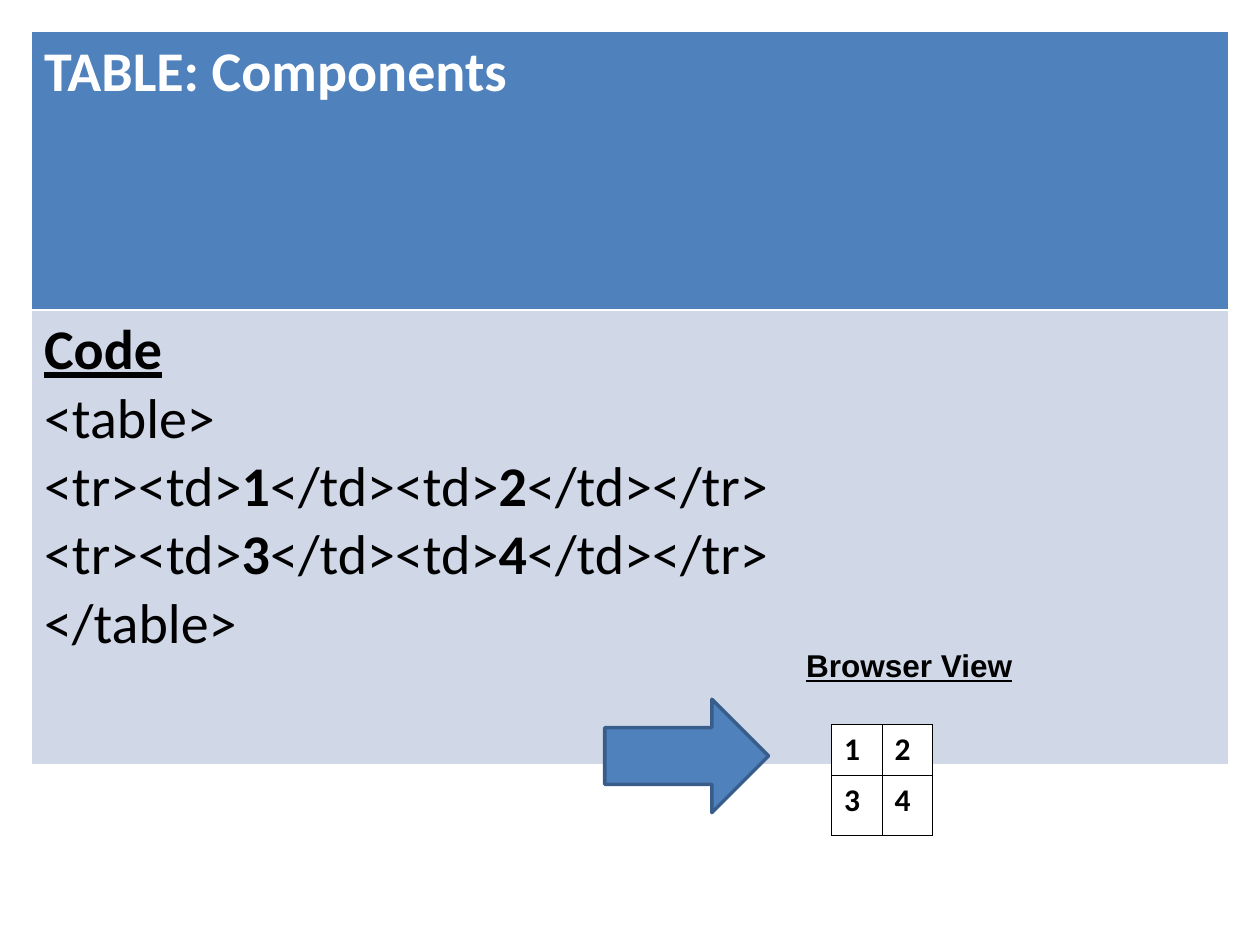
from dataclasses import dataclass

from lxml.etree import SubElement
from pptx import Presentation
from pptx.dml.color import RGBColor
from pptx.enum.shapes import MSO_SHAPE as Shape
from pptx.enum.text import MSO_AUTO_SIZE as AutoSize
from pptx.oxml.ns import qn
from pptx.util import Inches, Pt

WIDTH, HEIGHT = 10, 7.5
WHITE, BLACK, BLUE, PALE, NAVY = "FFFFFF", "000000", "4F81BD", "D0D8E8", "385D8A"


@dataclass(frozen=True)
class Run:
    text: str
    bold: bool = False
    underline: bool = False


@dataclass(frozen=True)
class Style:
    size: float
    color: str = BLACK
    font: str = "Calibri"


@dataclass(frozen=True)
class Box:
    """Position and size as shares of the slide's width and height."""
    x: float
    y: float
    w: float
    h: float

    def emu(self) -> tuple:
        return (Inches(self.x * WIDTH), Inches(self.y * HEIGHT),
                Inches(self.w * WIDTH), Inches(self.h * HEIGHT))


@dataclass(frozen=True)
class Cell:
    paragraphs: list
    style: Style
    fill: str
    borders: dict


def rgb(color: str) -> RGBColor:
    return RGBColor.from_string(color)


def write(tf, paragraphs: list, style: Style) -> None:
    """Fill a text frame; a newline inside a run becomes a line break."""
    for i, runs in enumerate(paragraphs):
        p = tf.add_paragraph() if i else tf.paragraphs[0]
        for run in runs:
            for j, line in enumerate(run.text.split("\n")):
                if j:
                    p.add_line_break()
                r = p.add_run()
                r.text = line
                font = r.font
                font.name, font.size = style.font, Pt(style.size)
                font.bold, font.underline = run.bold, run.underline
                font.color.rgb = rgb(style.color)
        for br in p._p.findall(qn("a:br")):
            SubElement(br, qn("a:rPr"), sz=str(style.size * 100))


def set_borders(cell, borders: dict) -> None:
    """Borders map a side (L, R, T, B) to a colour and a width in points."""
    tc_pr = cell._tc.get_or_add_tcPr()
    for i, side in enumerate("LRTB"):
        color, width = borders[side]
        ln = SubElement(tc_pr, qn(f"a:ln{side}"), w=str(Pt(width)))
        SubElement(SubElement(ln, qn("a:solidFill")), qn("a:srgbClr"), val=color)
        tc_pr.insert(i, ln)


def add_grid(slide, box: Box, row_shares: list, rows: list) -> None:
    frame = slide.shapes.add_table(len(rows), len(rows[0]), *box.emu())
    table = frame.table
    table.first_row = table.horz_banding = False
    for row, share in zip(table.rows, row_shares):
        row.height = int(frame.height * share)
    for i, cells in enumerate(rows):
        for j, spec_cell in enumerate(cells):
            cell = table.cell(i, j)
            cell.fill.solid()
            cell.fill.fore_color.rgb = rgb(spec_cell.fill)
            set_borders(cell, spec_cell.borders)
            write(cell.text_frame, spec_cell.paragraphs, spec_cell.style)


def add_arrow(slide, box: Box) -> None:
    sp = slide.shapes.add_shape(Shape.RIGHT_ARROW, *box.emu())
    sp.shadow.inherit = False
    sp.fill.solid()
    sp.fill.fore_color.rgb = rgb(BLUE)
    sp.line.color.rgb = rgb(NAVY)
    sp.line.width = Pt(2)


def add_label(slide, box: Box, run: Run, style: Style) -> None:
    tf = slide.shapes.add_textbox(*box.emu()).text_frame
    tf.word_wrap = True
    tf.auto_size = AutoSize.SHAPE_TO_FIT_TEXT
    write(tf, [[run]], style)


def code_row(first: int) -> list:
    return [Run("<tr><td>"), Run(str(first), bold=True), Run("</td><td>"),
            Run(str(first + 1), bold=True), Run("</td></tr>")]


def main() -> None:
    prs = Presentation()
    prs.slide_width, prs.slide_height = Inches(WIDTH), Inches(HEIGHT)
    slide = prs.slides.add_slide(prs.slide_layouts[6])

    thin, thick = (WHITE, 0.45), (WHITE, 1.47)
    edges = dict.fromkeys("LRTB", thin)
    code = [[Run("Code", bold=True, underline=True)],
            [Run("<table>\n"), *code_row(1), Run("\n"), *code_row(3)],
            [Run("</table>")]]
    title = Cell([[Run("TABLE: Components", bold=True)]], Style(32, WHITE), BLUE,
                 {**edges, "B": thick})
    body = Cell(code, Style(32), PALE, {**edges, "T": thick})
    add_grid(slide, Box(1 / 40, 1 / 30, 0.95, 6.5 / HEIGHT), [0.34, 0.66],
             [[title], [body]])

    add_arrow(slide, Box(0.48, 0.74, 0.13, 0.12))

    hairlines = dict.fromkeys("LRTB", (BLACK, 0.23))
    numbers = [[Cell([[Run(str(n), bold=True)]], Style(18), WHITE, hairlines)
                for n in pair] for pair in ((1, 2), (3, 4))]
    add_grid(slide, Box(0.66, 5.75 / HEIGHT, 0.08, 0.12), [0.45, 0.55], numbers)

    add_label(slide, Box(0.63, 5.08 / HEIGHT, 0.2, 0.4 / HEIGHT),
              Run("Browser View", bold=True, underline=True), Style(18, font="Arial"))

    prs.save("out.pptx")


if __name__ == "__main__":
    main()
